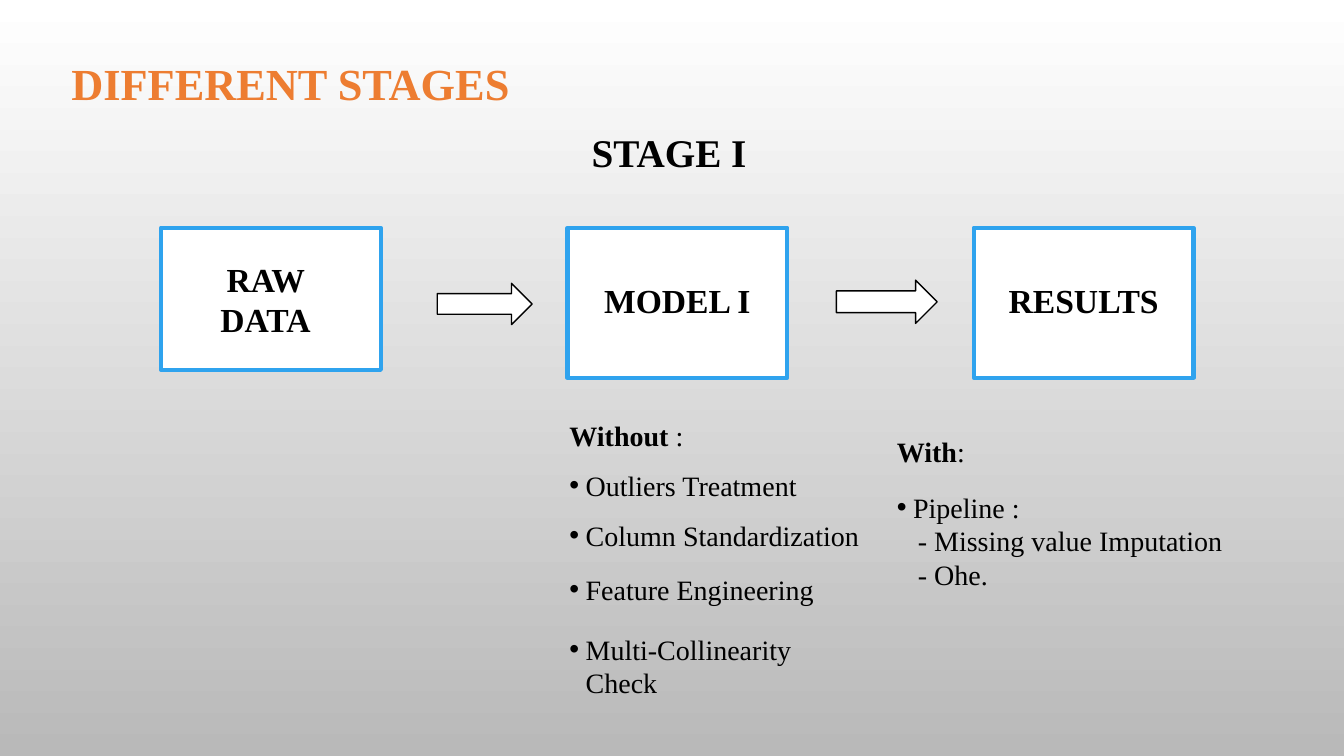
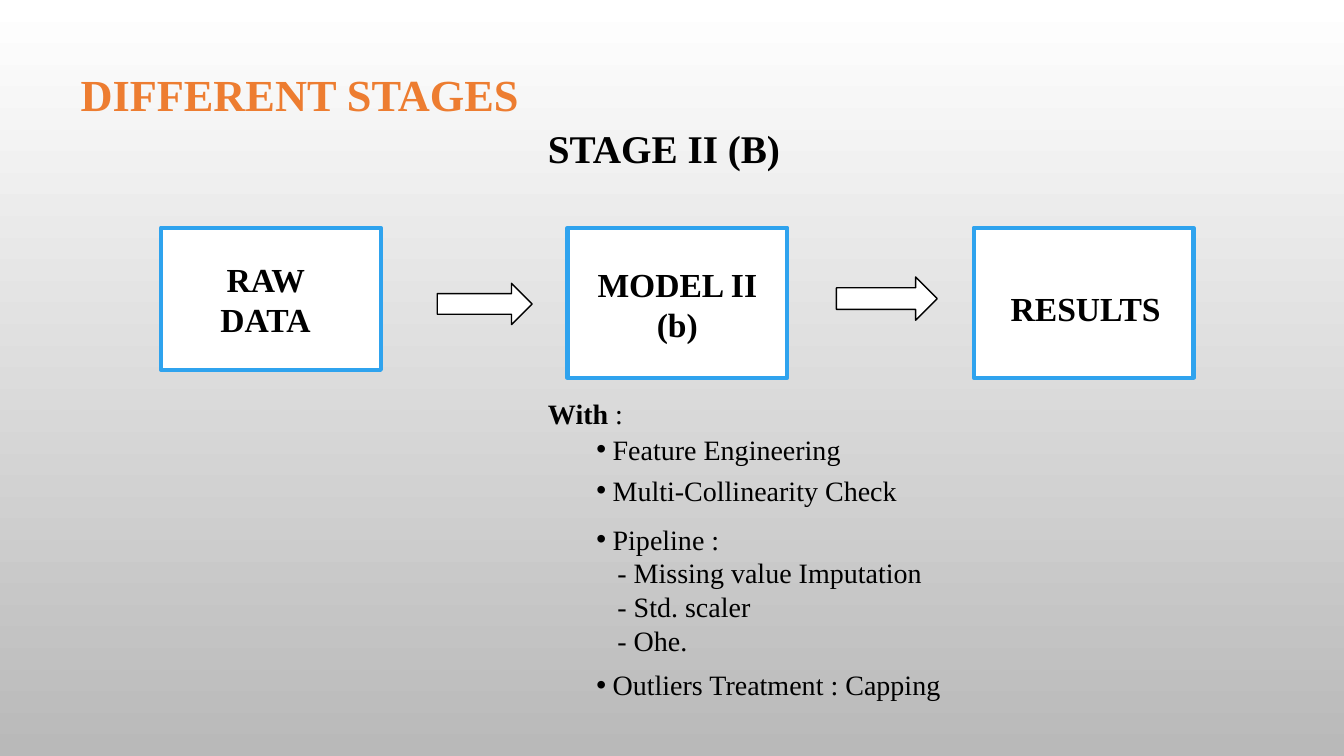
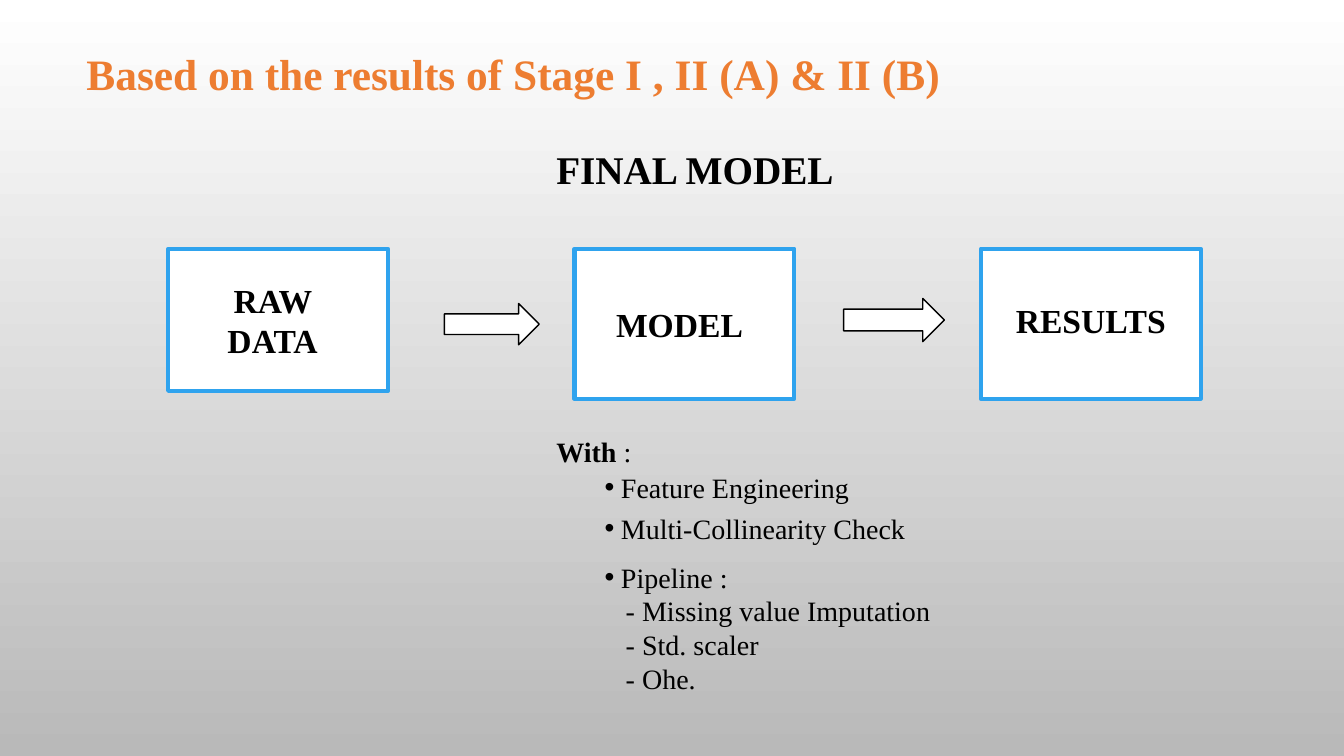
from lxml.etree import SubElement
from pptx import Presentation
from pptx.dml.color import RGBColor
from pptx.enum.shapes import MSO_SHAPE
from pptx.enum.text import MSO_ANCHOR
from pptx.enum.text import PP_ALIGN
from pptx.oxml.ns import qn
from pptx.util import Cm, Pt

FONT = "Times New Roman"
ORANGE, BLACK, WHITE, BLUE = "ED7D31", "000000", "FFFFFF", "2FA3EE"
GREY = "B9B9B9"
BOX_PITCH, BOX_WIDTH = 10.24, 5.54
BOX_HEIGHTS = [3.58, 3.78, 3.78]
BULLET_INDENT, DASH_INDENT = 0.41, 0.53

# Titles: text, left, top, size, line spacing. Headings: text, left, top, width.
# Boxes: label, left inset, right inset, downward shift of the label.
# Arrows: left, top, width, height.
# Lists: left, top, width, indent, then lines of kind, text and space before in points.
# All other lengths are in centimetres.
STAGES = [
    {
        "title": ("DIFFERENT STAGES", 1.55, 1.19, 31.7, 1.07),
        "heading": ("STAGE I", 14.66, 3.1, 6.17),
        "origin": (4.06, 5.74),
        "boxes": [("RAW DATA", 0.79, 1.07, 0), ("MODEL I", 0.25, 0.25, -0.08),
                  ("RESULTS", 0.25, 0.25, -0.08)],
        "arrows": [(11.02, 7.14, 2.39, 1.04), (21.08, 7.06, 2.54, 1.09)],
        "lists": [
            (14.1, 10.41, 7.94, 0, [
                ("lead", "Without :", 0),
                ("bullet", "Outliers Treatment", 11.7),
                ("bullet", "Column Standardization", 11.7),
                ("bullet", "Feature Engineering", 14.6),
                ("bullet", "Multi-Collinearity Check", 18.9)]),
            (22.35, 10.82, 8.95, 0, [
                ("lead", "With:", 0),
                ("bullet", "Pipeline :", 16),
                ("dash", "- Missing value Imputation", 0),
                ("dash", "- Ohe.", 0)]),
        ],
    },
    {
        "title": ("DIFFERENT STAGES", 1.78, 1.47, 31.7, 1.07),
        "heading": ("STAGE II (B)", 13.56, 3.02, 6.73),
        "origin": (4.06, 5.74),
        "boxes": [("RAW DATA", 0.79, 1.07, 0), ("MODEL II (b)", 0.53, 0.53, 0.03),
                  ("RESULTS", 0.3, 0.2, 0.14)],
        "arrows": [(11.02, 7.14, 2.39, 1.04), (21.08, 6.98, 2.54, 1.09)],
        "lists": [
            (13.56, 9.86, 11, 1.22, [
                ("lead", "With :", 0),
                ("bullet", "Feature Engineering", 1.7),
                ("bullet", "Multi-Collinearity Check", 5.3),
                ("bullet", "Pipeline :", 11),
                ("dash", "- Missing value Imputation", 0),
                ("dash", "- Std. scaler", 0),
                ("dash", "- Ohe.", 0),
                ("bullet", "Outliers Treatment : Capping", 8)]),
        ],
    },
    {
        "title": ("Based on the results of Stage I , II (A) & II (B)", 1.93, 1.07, 31, 1),
        "heading": ("FINAL MODEL", 13.77, 3.53, 8.23),
        "origin": (4.24, 6.27),
        "boxes": [("RAW DATA", 0.79, 1.07, 0), ("MODEL", 0.15, 0.4, 0),
                  ("RESULTS", 0.25, 0.25, -0.1)],
        "arrows": [(11.2, 7.65, 2.39, 1.04), (21.26, 7.52, 2.54, 1.09)],
        "lists": [
            (13.77, 10.82, 11, 1.22, [
                ("lead", "With :", 0),
                ("bullet", "Feature Engineering", 1.7),
                ("bullet", "Multi-Collinearity Check", 5.3),
                ("bullet", "Pipeline :", 11),
                ("dash", "- Missing value Imputation", 0),
                ("dash", "- Std. scaler", 0),
                ("dash", "- Ohe.", 0)]),
        ],
    },
]


def paint(color_format, hex_color):
    color_format.rgb = RGBColor.from_string(hex_color)


def style(paragraph, size, hex_color=BLACK, bold=True):
    for run in paragraph.runs:
        run.font.name = FONT
        run.font.size = Pt(size)
        run.font.bold = bold
        paint(run.font.color, hex_color)


prs = Presentation()
prs.slide_width, prs.slide_height = Cm(33.87), Cm(19.05)

backdrop = prs.slide_master.background.fill
backdrop.gradient()
backdrop.gradient_angle = 270
for stop, position, hex_color in zip(backdrop.gradient_stops, (0, 1), (WHITE, GREY)):
    stop.position = position
    paint(stop.color, hex_color)

for stage in STAGES:
    slide = prs.slides.add_slide(prs.slide_layouts[6])
    shapes = slide.shapes

    text, left, top, size, line_spacing = stage["title"]
    title = shapes.add_textbox(Cm(left), Cm(top), Cm(30.3), Cm(1.6)).text_frame
    title.word_wrap = True
    title.text = text
    title.paragraphs[0].line_spacing = line_spacing
    style(title.paragraphs[0], size, ORANGE)

    text, left, top, width = stage["heading"]
    heading = shapes.add_textbox(Cm(left), Cm(top), Cm(width), Cm(1.45)).text_frame
    heading.word_wrap = True
    heading.text = text
    style(heading.paragraphs[0], 28)

    outlines = []
    first_left, box_top = stage["origin"]
    for i, (text, inset_left, inset_right, shift) in enumerate(stage["boxes"]):
        box = shapes.add_shape(MSO_SHAPE.RECTANGLE, Cm(first_left + i * BOX_PITCH),
                               Cm(box_top), Cm(BOX_WIDTH), Cm(BOX_HEIGHTS[i]))
        outlines.append((box, BLUE, 3))
        label = box.text_frame
        label.word_wrap = True
        label.vertical_anchor = MSO_ANCHOR.MIDDLE
        label.margin_left, label.margin_right = Cm(inset_left), Cm(inset_right)
        label.margin_top, label.margin_bottom = Cm(0.2 + shift), Cm(0.2 - shift)
        label.text = text
        label.paragraphs[0].alignment = PP_ALIGN.CENTER
        style(label.paragraphs[0], 24)

    for frame in stage["arrows"]:
        arrow = shapes.add_shape(MSO_SHAPE.RIGHT_ARROW, *map(Cm, frame))
        outlines.append((arrow, BLACK, 1))

    for shape, hex_color, line_width in outlines:
        shape.shadow.inherit = False
        shape.fill.solid()
        paint(shape.fill.fore_color, WHITE)
        paint(shape.line.color, hex_color)
        shape.line.width = Pt(line_width)

    for left, top, width, indent, lines in stage["lists"]:
        notes = shapes.add_textbox(Cm(left), Cm(top), Cm(width),
                                   Cm(0.25 + 0.95 * len(lines))).text_frame
        notes.word_wrap = True
        notes.text = "\n".join(text for _, text, _ in lines)
        for paragraph, (kind, text, before) in zip(notes.paragraphs, lines):
            paragraph.space_before = Pt(before)
            properties = paragraph._p.get_or_add_pPr()
            if kind == "lead":
                word = text.rstrip(" :")
                paragraph.runs[0].text = word
                paragraph.add_run().text = text[len(word):]
            elif kind == "bullet":
                properties.set("marL", str(Cm(indent + BULLET_INDENT)))
                properties.set("indent", str(-Cm(BULLET_INDENT)))
                SubElement(properties, qn("a:buFont")).set("typeface", "Arial")
                SubElement(properties, qn("a:buChar")).set("char", "•")
            else:
                properties.set("marL", str(Cm(indent + DASH_INDENT)))
            style(paragraph, 20, bold=False)
            if kind == "lead":
                paragraph.runs[0].font.bold = True

prs.save("out.pptx")
